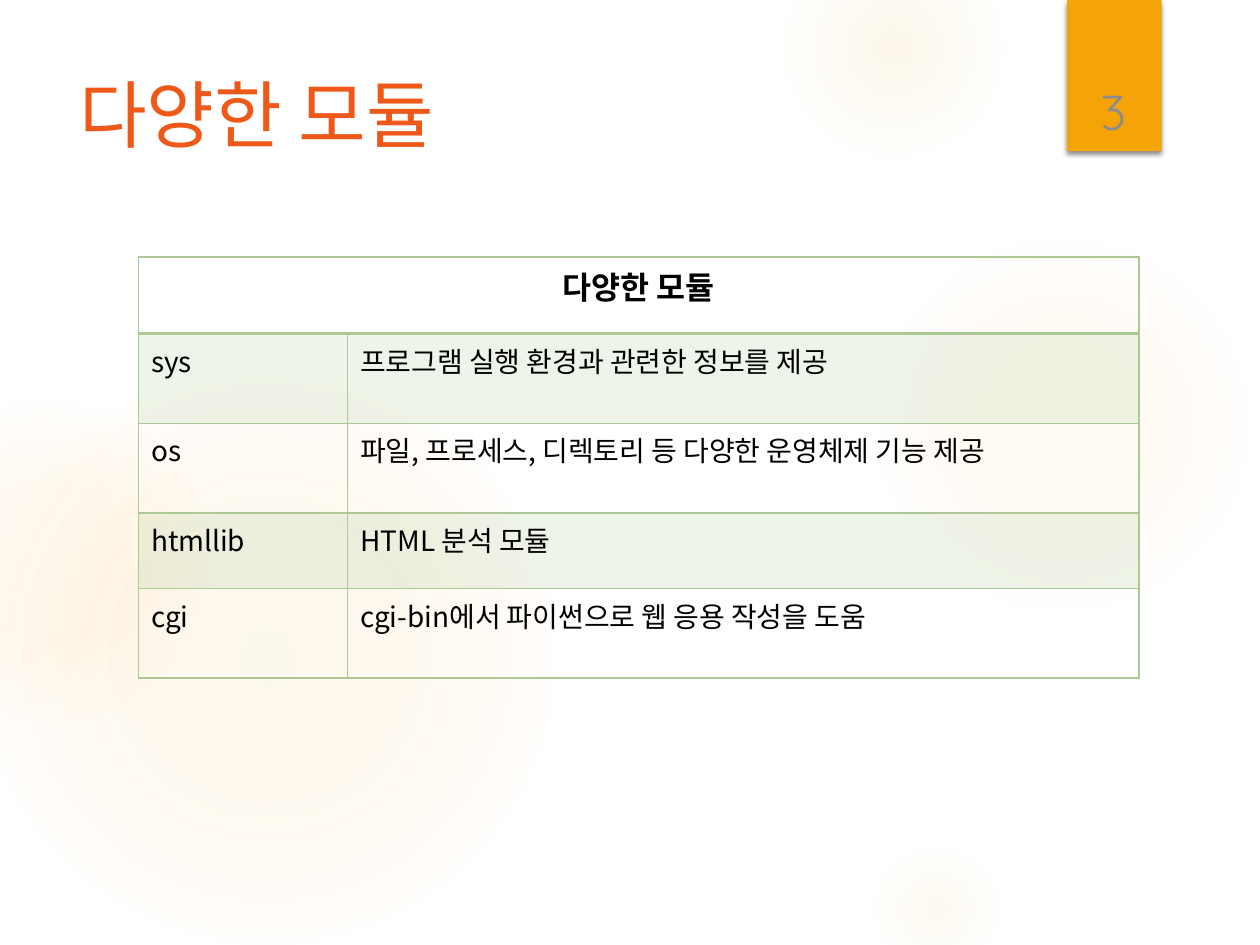
from lxml import etree
from pptx import Presentation
from pptx import util as u
from pptx.dml.color import RGBColor
from pptx.enum import shapes, text
from pptx.oxml import parse_xml
from pptx.oxml import ns

COLORS = {"glow": "FAC96A", "tab": "F5A408", "title": "EE5818", "ink": "000000",
          "number": "8C8C8C", "green": "ACC995"}
KOREAN = "Noto Sans CJK KR"

# left, top, diameter, then gradient stops as (position %, opacity %)
GLOWS = [
    (6.89, 1.83, 3.08, [(0, 7), (36, 6), (69, 0)]),
    (6.22, -0.5, 1.75, [(0, 14), (36, 7), (73, 0)]),
    (6.89, 6.67, 1.08, [(0, 10), (31, 5), (66, 0)]),
    (-0.17, 2.92, 4.58, [(0, 11), (36, 10), (75, 0)]),
    (-0.92, 3.17, 2.58, [(0, 8), (36, 8), (72, 0)]),
]
MODULES = [
    ("sys", "프로그램 실행 환경과 관련한 정보를 제공"),
    ("os", "파일, 프로세스, 디렉토리 등 다양한 운영체제 기능 제공"),
    ("htmllib", "HTML 분석 모듈"),
    ("cgi", "cgi-bin에서 파이썬으로 웹 응용 작성을 도움"),
]
COLUMN_WIDTHS = [1.66, 6.28]
ROW_HEIGHTS = [0.61, 0.71, 0.71, 0.6, 0.71]


def rgb(name):
    return RGBColor.from_string(COLORS[name])


def write(frame, words, size, color, face=KOREAN, align=text.PP_ALIGN.LEFT, bold=False):
    """Fill a text frame with one paragraph, in one face for Latin and Korean."""
    frame.word_wrap = True
    paragraph = frame.paragraphs[0]
    paragraph.text = words
    paragraph.alignment = align
    font = paragraph.font
    font.size, font.bold, font.name = u.Pt(size), bold, face
    font.color.rgb = rgb(color)
    defaults = paragraph._p.pPr.find(ns.qn("a:defRPr"))
    etree.SubElement(defaults, ns.qn("a:ea"), typeface=face)


def add_glow(slide, left, top, diameter, stops):
    glow = slide.shapes.add_shape(
        shapes.MSO_SHAPE.OVAL, u.Inches(left), u.Inches(top),
        u.Inches(diameter), u.Inches(diameter))
    glow.shadow.inherit = False
    glow.line.fill.background()
    stop_xml = "".join(
        f'<a:gs pos="{position * 1000}"><a:srgbClr val="{COLORS["glow"]}">'
        f'<a:alpha val="{opacity * 1000}"/></a:srgbClr></a:gs>'
        for position, opacity in stops)
    gradient = parse_xml(
        f'<a:gradFill {ns.nsdecls("a")}><a:gsLst>{stop_xml}</a:gsLst>'
        '<a:path path="circle"><a:fillToRect l="50000" t="50000" r="50000" b="50000"/>'
        '</a:path></a:gradFill>')
    glow._element.spPr.find(ns.qn("a:prstGeom")).addnext(gradient)


def add_title(slide, left, top, width, height):
    title = slide.shapes.add_textbox(
        u.Inches(left), u.Inches(top), u.Inches(width), u.Inches(height))
    write(title.text_frame, "다양한 모듈", 42, "title")


def add_page_tab(slide, left, top, width, height):
    tab = slide.shapes.add_shape(
        shapes.MSO_SHAPE.RECTANGLE, u.Inches(left), u.Inches(top),
        u.Inches(width), u.Inches(height))
    tab.fill.solid()
    tab.fill.fore_color.rgb = rgb("tab")
    tab.line.fill.background()
    tab.shadow.inherit = False
    effects = tab._element.spPr.find(ns.qn("a:effectLst"))
    effects.append(parse_xml(
        f'<a:outerShdw {ns.nsdecls("a")} blurRad="{u.Pt(3)}" dist="{u.Pt(2)}" '
        f'dir="5400000" rotWithShape="0"><a:srgbClr val="{COLORS["ink"]}">'
        '<a:alpha val="45000"/></a:srgbClr></a:outerShdw>'))

    number = slide.shapes.add_textbox(
        u.Inches(left + 0.02), u.Inches(top + 0.32), u.Inches(0.69), u.Inches(0.84))
    number.text_frame.vertical_anchor = text.MSO_ANCHOR.BOTTOM
    write(number.text_frame, "3", 28, "number", "Quicksand", text.PP_ALIGN.CENTER)


def style_cell(cell, shaded, top=1, bottom=1):
    """Draw the green borders and the optional pale green band."""
    properties = cell._tc.get_or_add_tcPr()
    for side, points in (("L", 1), ("R", 1), ("T", top), ("B", bottom)):
        properties.append(parse_xml(
            f'<a:ln{side} {ns.nsdecls("a")} w="{u.Pt(points)}"><a:solidFill>'
            f'<a:srgbClr val="{COLORS["green"]}"/></a:solidFill></a:ln{side}>'))
    if shaded:
        cell.fill.solid()
        cell.fill.fore_color.rgb = rgb("green")
        band = properties.find(ns.qn("a:solidFill"))[0]
        etree.SubElement(band, ns.qn("a:alpha"), val="20000")
    else:
        cell.fill.background()


def add_module_table(slide, left, top):
    table = slide.shapes.add_table(
        len(ROW_HEIGHTS), len(COLUMN_WIDTHS), u.Inches(left), u.Inches(top),
        u.Inches(sum(COLUMN_WIDTHS)), u.Inches(sum(ROW_HEIGHTS))).table
    table.first_row = table.horz_banding = False
    for column, width in zip(table.columns, COLUMN_WIDTHS):
        column.width = u.Inches(width)
    for row, height in zip(table.rows, ROW_HEIGHTS):
        row.height = u.Inches(height)

    heading = table.cell(0, 0)
    heading.merge(table.cell(0, 1))
    write(heading.text_frame, "다양한 모듈", 18, "ink", align=text.PP_ALIGN.CENTER, bold=True)
    for cell in table.rows[0].cells:
        style_cell(cell, False, bottom=2)

    for index, entries in enumerate(MODULES, 1):
        for cell, words in zip(table.rows[index].cells, entries):
            write(cell.text_frame, words, 16, "ink")
            style_cell(cell, index % 2 == 1, top=2 if index == 1 else 1)


def main():
    deck = Presentation()
    deck.slide_width, deck.slide_height = u.Inches(10), u.Inches(7.5)
    slide = deck.slides.add_slide(deck.slide_layouts[6])
    for glow in GLOWS:
        add_glow(slide, *glow)
    add_title(slide, 0.53, 0.5, 7.72, 1.53)
    add_module_table(slide, 1.1, 2.04)
    add_page_tab(slide, 8.47, 0, 0.75, 1.2)
    deck.save("out.pptx")


if __name__ == "__main__":
    main()
